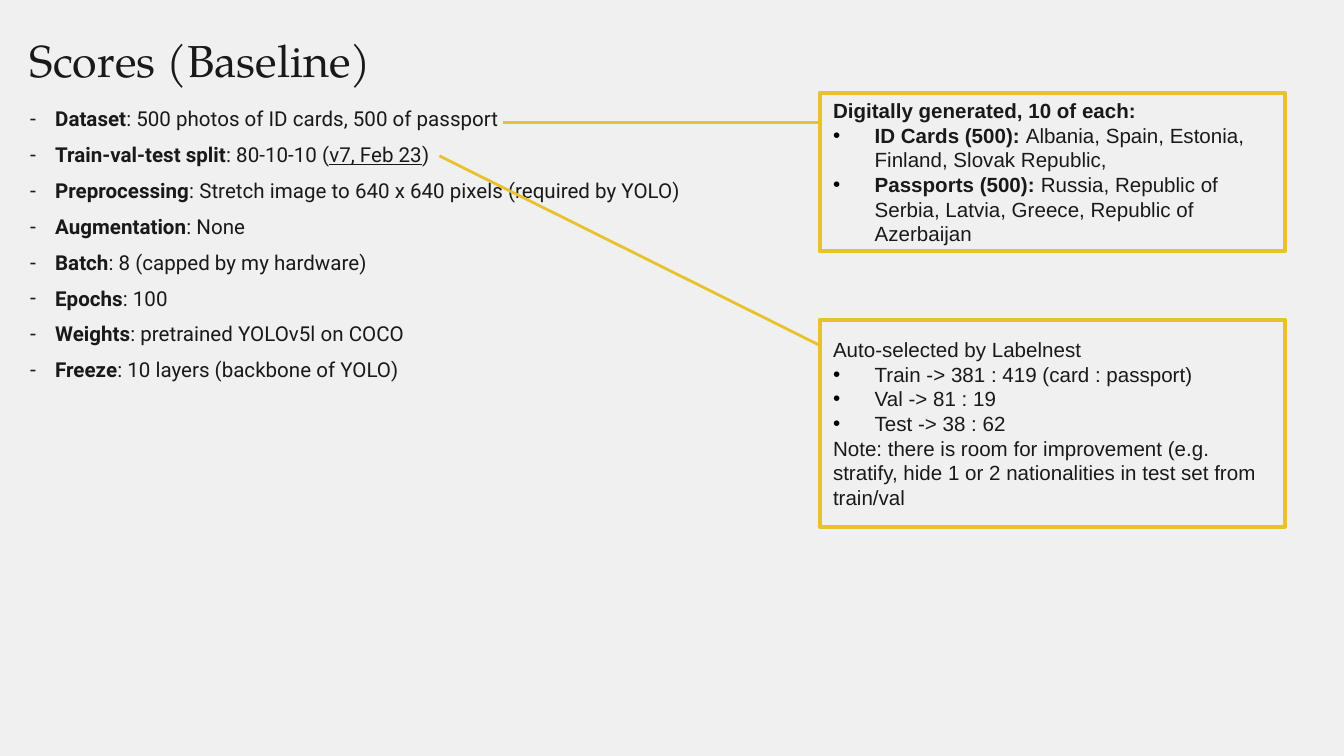
from dataclasses import dataclass

from lxml import etree
from pptx import Presentation, util as u
from pptx.dml.color import RGBColor
from pptx.enum import shapes, text
from pptx.oxml.ns import qn

WIDTH = 10
HEIGHT = WIDTH * 9 / 16
INK, PAPER, GOLD, BLACK = "191919", "F0F0F0", "E7C22C", "000000"
HEADING_FONT, LIST_FONT, NOTE_FONT = "TeX Gyre Pagella", "Roboto", "Arial"
TEXT_SIZE = 11
LEFT, NOTE_LEFT, NOTE_WIDTH, CONTENT_TOP = 0.12, 6.1, 3.46, 0.69

SETTINGS = [
    [("Dataset", "b"), (": 500 photos of ID cards, 500 of passport", "")],
    [("Train-val-test split", "b"), (": 80-10-10 (", ""), ("v7, Feb 23", "u"), (")", "")],
    [("Preprocessing", "b"), (": Stretch image to 640 x 640 pixels (required by YOLO)", "")],
    [("Augmentation", "b"), (": None", "")],
    [("Batch", "b"), (": 8 (capped by my hardware)", "")],
    [("Epochs", "b"), (": 100", "")],
    [("Weights", "b"), (": pretrained YOLOv5l on COCO", "")],
    [("Freeze", "b"), (": 10 layers (backbone of YOLO)", "")],
]
DATASET_NOTE = [
    (False, [("Digitally generated, 10 of each:", "b")]),
    (True, [("ID Cards (500): ", "b"), ("Albania, Spain, Estonia, Finland, Slovak Republic,", "")]),
    (True, [("Passports (500): ", "b"),
            ("Russia, Republic of Serbia, Latvia, Greece, Republic of Azerbaijan", "")]),
]
SPLIT_NOTE = [
    (False, [("Auto-selected by Labelnest", "")]),
    (True, [("Train -> 381 : 419 (card : passport)", "")]),
    (True, [("Val -> 81 : 19", "")]),
    (True, [("Test -> 38 : 62", "")]),
    (False, [("Note: there is room for improvement (e.g. stratify, hide 1 or 2 "
              "nationalities in test set from train/val", "")]),
]


@dataclass
class Box:
    """A rectangle in inches."""
    left: float
    top: float
    width: float
    height: float

    def place(self, shape):
        """Move and size a shape to this box."""
        shape.left, shape.top = u.Inches(self.left), u.Inches(self.top)
        shape.width, shape.height = u.Inches(self.width), u.Inches(self.height)


def colour(value):
    """Turn a hex string into a colour."""
    return RGBColor.from_string(value)


def add_bullet(paragraph, character, indent, bullet_colour):
    """Give a paragraph a hanging bullet."""
    properties = paragraph._p.get_or_add_pPr()
    properties.set("marL", str(u.Inches(indent)))
    properties.set("indent", str(-u.Inches(indent)))
    holder = etree.SubElement(properties, qn("a:buClr"))
    etree.SubElement(holder, qn("a:srgbClr"), val=bullet_colour)
    etree.SubElement(properties, qn("a:buFont"), typeface="Arial")
    etree.SubElement(properties, qn("a:buChar"), char=character)


def write_runs(paragraph, runs, font_name, size=TEXT_SIZE):
    """Fill a paragraph with styled runs, aligned left."""
    paragraph.alignment = text.PP_ALIGN.LEFT
    paragraph.space_before = u.Pt(0)
    for words, style in runs:
        run = paragraph.add_run()
        run.text = words
        font = run.font
        font.name, font.size = font_name, u.Pt(size)
        font.bold, font.underline = "b" in style, "u" in style
        font.color.rgb = colour(INK)


def next_paragraph(frame, index):
    """Return the first paragraph, or a new one after it."""
    return frame.add_paragraph() if index else frame.paragraphs[0]


def prepare_placeholder(placeholder, box):
    """Place a placeholder and give it even margins and top anchoring."""
    box.place(placeholder)
    frame = placeholder.text_frame
    frame.auto_size, frame.word_wrap = text.MSO_AUTO_SIZE.NONE, True
    frame.vertical_anchor = text.MSO_ANCHOR.TOP
    frame.margin_left = frame.margin_right = u.Inches(0.1)
    frame.margin_top = frame.margin_bottom = u.Inches(0.1)
    return frame


def fill_title(slide, box):
    """Write the slide title."""
    frame = prepare_placeholder(slide.shapes.title, box)
    write_runs(frame.paragraphs[0], [("Scores (Baseline)", "")], HEADING_FONT, 24)


def fill_settings(slide, box):
    """Write the list of training settings."""
    frame = prepare_placeholder(slide.placeholders[1], box)
    for index, runs in enumerate(SETTINGS):
        paragraph = next_paragraph(frame, index)
        add_bullet(paragraph, "-", 0.19, INK)
        write_runs(paragraph, runs, LIST_FONT)
        paragraph.space_after = u.Pt(6)


def add_note(slide, box, lines):
    """Draw a framed note with plain and bulleted lines."""
    note = slide.shapes.add_shape(shapes.MSO_SHAPE.RECTANGLE, 0, 0, 0, 0)
    box.place(note)
    note.shadow.inherit = False
    note.fill.solid()
    note.fill.fore_color.rgb = colour(PAPER)
    note.line.color.rgb, note.line.width = colour(GOLD), u.Pt(2)
    frame = note.text_frame
    frame.word_wrap, frame.vertical_anchor = True, text.MSO_ANCHOR.MIDDLE
    for index, (bulleted, runs) in enumerate(lines):
        paragraph = next_paragraph(frame, index)
        if bulleted:
            add_bullet(paragraph, "•", 0.31, BLACK)
        write_runs(paragraph, runs, NOTE_FONT)


def add_link(slide, start, end):
    """Draw a line from a setting to its note."""
    ends = [u.Inches(value) for value in (*start, *end)]
    link = slide.shapes.add_connector(shapes.MSO_CONNECTOR.STRAIGHT, *ends)
    link.line.color.rgb, link.line.width = colour(GOLD), u.Pt(1.5)
    etree.SubElement(link._element.spPr, qn("a:effectLst"))


def build_slide(presentation):
    """Lay out the baseline scores slide."""
    slide = presentation.slides.add_slide(presentation.slide_layouts[1])
    slide.background.fill.solid()
    slide.background.fill.fore_color.rgb = colour(PAPER)
    dataset_box = Box(NOTE_LEFT, CONTENT_TOP, NOTE_WIDTH, 1.18)
    split_box = Box(NOTE_LEFT, 2.38, NOTE_WIDTH, 1.54)
    dataset_line = CONTENT_TOP + 0.22
    fill_title(slide, Box(LEFT, 0.14, 6.14, 0.77))
    add_note(slide, dataset_box, DATASET_NOTE)
    add_link(slide, (3.74, dataset_line), (NOTE_LEFT, dataset_line))
    add_note(slide, split_box, SPLIT_NOTE)
    add_link(slide, (3.27, 1.16), (NOTE_LEFT, split_box.top + 0.19))
    fill_settings(slide, Box(LEFT, CONTENT_TOP, 5.35, 2.28))


def main():
    """Build and save the presentation."""
    presentation = Presentation()
    presentation.slide_width = u.Inches(WIDTH)
    presentation.slide_height = u.Inches(HEIGHT)
    build_slide(presentation)
    presentation.save("out.pptx")


if __name__ == "__main__":
    main()
